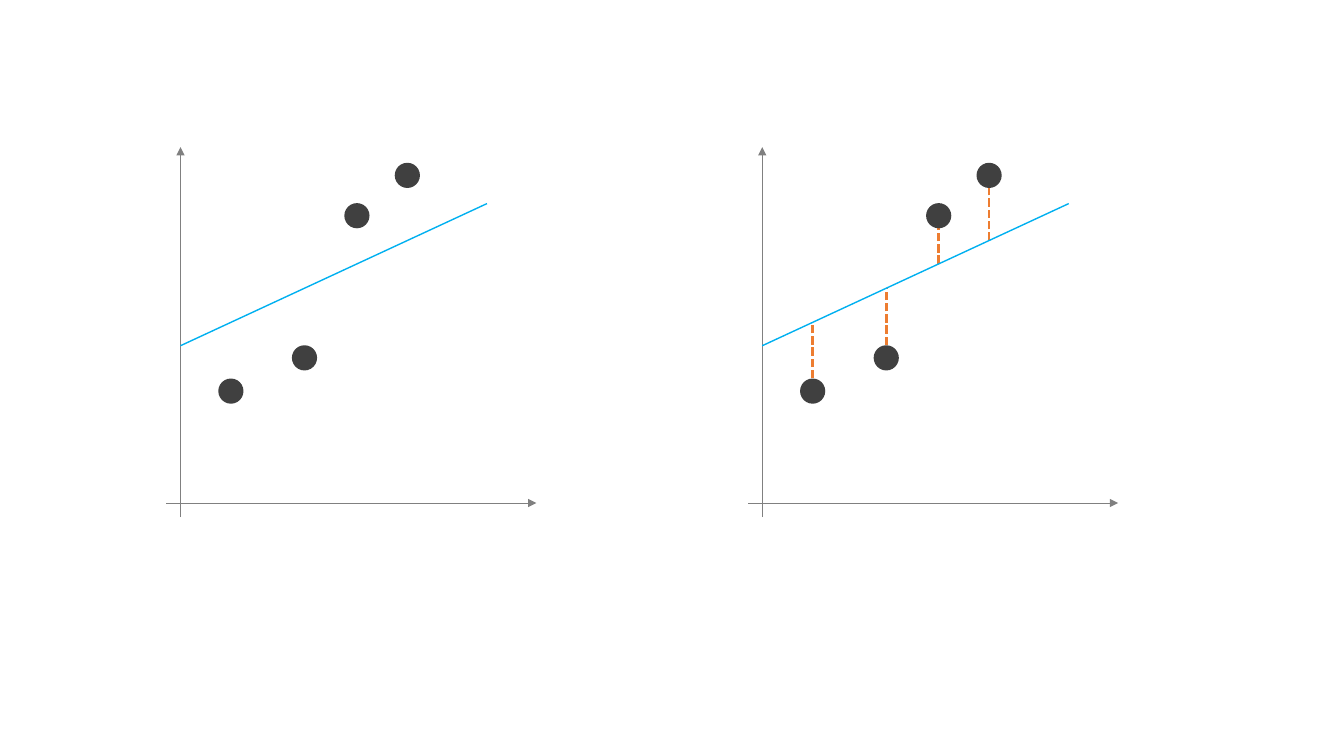
from pptx import Presentation
from pptx.dml.color import RGBColor as RGB
from pptx.enum.dml import MSO_LINE as Dash
from pptx.enum.shapes import MSO_CONNECTOR as Conn, MSO_SHAPE as Shape
from pptx.util import Inches, Pt
from lxml.etree import SubElement as Sub
from pptx.oxml.ns import qn

COLORS = {"axis": "808080", "fit": "00B0F0", "dot": "404040", "gap": "ED7D31"}
BASE = 4.99            # height of the horizontal axis
START, END = (0, 3.43), (3.04, 2.02)   # fitted line, x from the vertical axis
DOTS = [(0.5, 3.88), (1.23, 3.55), (1.75, 2.14), (2.25, 1.74)]  # centres
SIZE = 0.25


def fit(x):
    slope = (END[1] - START[1]) / (END[0] - START[0])
    return START[1] + slope * x


class Plot:
    def __init__(self, slide, left):
        self.slide = slide
        self.left = left

    def line(self, start, end, color, width, dash=None, arrow=False):
        (x1, y1), (x2, y2) = start, end
        link = self.slide.shapes.add_connector(
            Conn.STRAIGHT, Inches(self.left + x1), Inches(y1),
            Inches(self.left + x2), Inches(y2))
        link.line.color.rgb = RGB.from_string(COLORS[color])
        link.line.width = Pt(width)
        if dash:
            link.line.dash_style = dash
        props = link._element.spPr
        if arrow:
            Sub(props.find(qn("a:ln")), qn("a:tailEnd"), type="triangle")
        Sub(props, qn("a:effectLst"))

    def axes(self):
        self.line((-0.14, BASE), (3.53, BASE), "axis", 0.5, arrow=True)
        self.line((0, BASE + 0.14), (0, BASE - 3.53), "axis", 0.5, arrow=True)

    def trend(self):
        self.line(START, END, "fit", 1)

    def gap(self, x, y):
        near = fit(x)
        if y > near:
            low, high = y - SIZE / 2, near
        else:
            low, high = near, y + SIZE / 2
        self.line((x, low), (x, high), "gap", 2, dash=Dash.SQUARE_DOT)

    def dot(self, x, y):
        mark = self.slide.shapes.add_shape(
            Shape.OVAL, Inches(self.left + x - SIZE / 2),
            Inches(y - SIZE / 2), Inches(SIZE), Inches(SIZE))
        mark.shadow.inherit = False
        mark.fill.solid()
        mark.fill.fore_color.rgb = RGB.from_string(COLORS["dot"])
        mark.line.fill.background()


def main():
    deck = Presentation()
    deck.slide_width, deck.slide_height = Inches(13.33), Inches(7.5)
    slide = deck.slides.add_slide(deck.slide_layouts[6])

    # Fitted line alone, then with its residuals
    for left, gaps in ((1.79, False), (7.56, True)):
        plot = Plot(slide, left)
        plot.axes()
        if gaps:
            for x, y in DOTS:
                plot.gap(x, y)
        plot.trend()
        for x, y in DOTS:
            plot.dot(x, y)

    deck.save("out.pptx")


if __name__ == "__main__":
    main()
